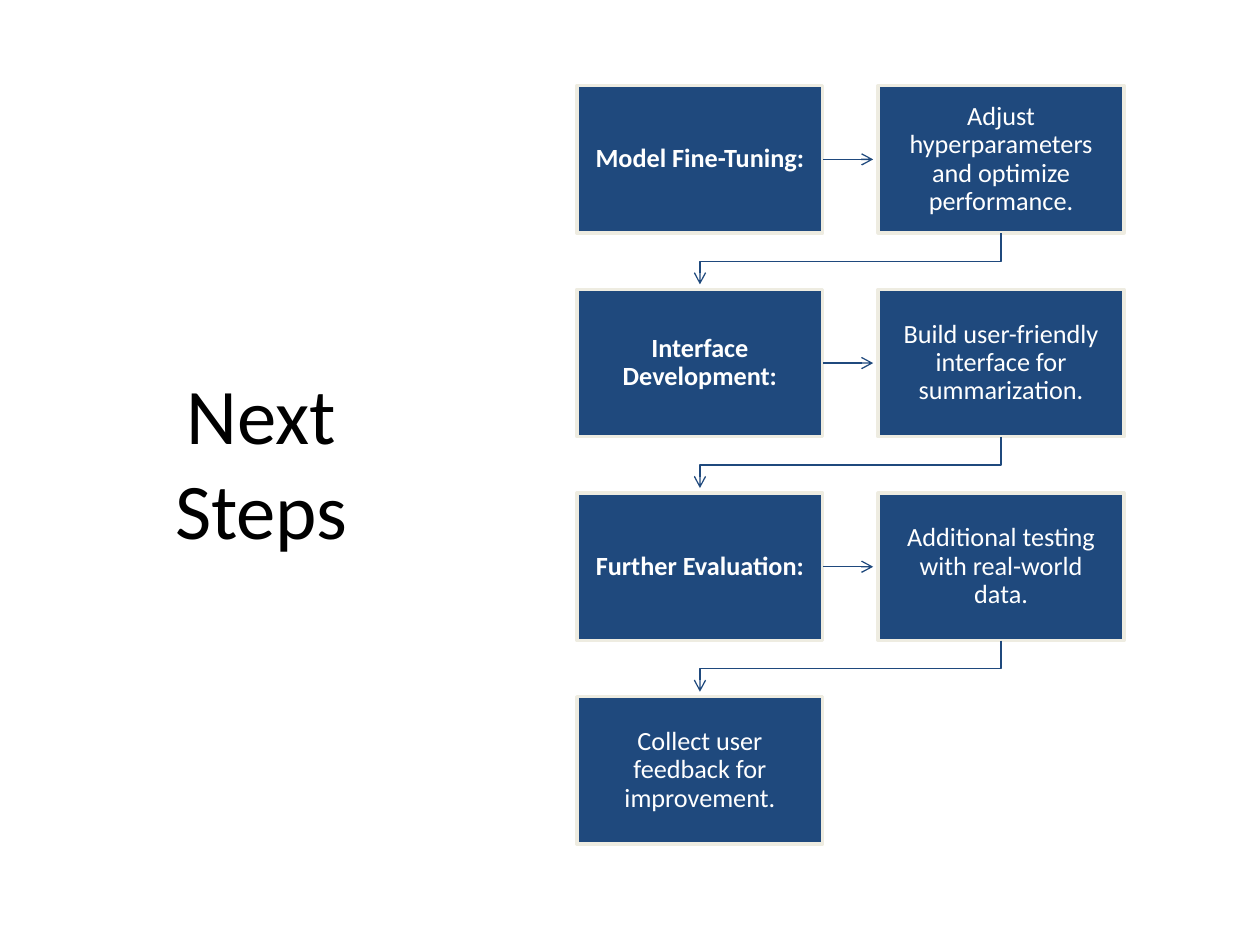
from lxml.etree import SubElement
from pptx import Presentation
from pptx.dml.color import RGBColor
from pptx.enum.shapes import MSO_CONNECTOR, MSO_SHAPE
from pptx.enum.text import MSO_ANCHOR, PP_ALIGN
from pptx.oxml.ns import qn
from pptx.util import Inches, Pt

NAVY = RGBColor(0x1F, 0x49, 0x7D)
CREAM = RGBColor(0xEE, 0xEC, 0xE1)
WHITE = RGBColor(0xFF, 0xFF, 0xFF)
BLACK = RGBColor(0x00, 0x00, 0x00)

STEPS = [
    ("Model Fine-Tuning:", "Adjust hyperparameters and optimize performance."),
    ("Interface Development:", "Build user-friendly interface for summarization."),
    ("Further Evaluation:", "Additional testing with real-world data."),
    ("Collect user feedback for improvement.",),
]


class FlowSlide:
    """Draws a title and a two-column grid of steps joined by arrows."""

    font = "Calibri"
    left, top = Inches(4.58), Inches(0.68)
    width, height = Inches(1.95), Inches(1.17)
    column_step, row_step = Inches(2.39), Inches(4.85 / 3)
    arrow_gap = Inches(0.04)

    def __init__(self, deck):
        self.page = deck.slides.add_slide(deck.slide_layouts[5])

    def label(self, box, text, size, color, bold=False, spacing=1.0, inset=0.1):
        frame = box.text_frame
        margins = {f"margin_{side}": Inches(inset) for side in ("left", "right", "top", "bottom")}
        layout = {"word_wrap": True, "vertical_anchor": MSO_ANCHOR.MIDDLE, **margins}
        for name, value in layout.items():
            setattr(frame, name, value)
        para = frame.paragraphs[0]
        para.alignment, para.line_spacing = PP_ALIGN.CENTER, spacing
        span = para.add_run()
        span.text = text
        span.font.color.rgb = color
        for name, value in {"name": self.font, "size": Pt(size), "bold": bold}.items():
            setattr(span.font, name, value)

    def title(self, text):
        box = self.page.shapes.title
        place = {"left": 0.69, "top": 0.61, "width": 2.77, "height": 6.09}
        for name, value in place.items():
            setattr(box, name, Inches(value))
        self.label(box, text, 45, BLACK)

    def step(self, column, row, text, bold):
        box = self.page.shapes.add_shape(
            MSO_SHAPE.RECTANGLE,
            self.left + column * self.column_step,
            self.top + row * self.row_step,
            self.width,
            self.height,
        )
        box.shadow.inherit = False
        box.fill.solid()
        box.fill.fore_color.rgb = NAVY
        box.line.color.rgb = CREAM
        box.line.width = Pt(2)
        self.label(box, text, 15, WHITE, bold, spacing=0.9)
        return box

    def arrow_style(self, shape):
        shape.line.color.rgb = NAVY
        shape.line.width = Pt(0.75)
        outline = shape.element.spPr.find(qn("a:ln"))
        SubElement(outline, qn("a:tailEnd"), type="arrow")

    def across(self, source, target):
        middle = source.top + source.height // 2
        arrow = self.page.shapes.add_connector(
            MSO_CONNECTOR.STRAIGHT,
            source.left + source.width, middle,
            target.left - self.arrow_gap, middle,
        )
        arrow.begin_connect(source, 3)
        self.arrow_style(arrow)
        SubElement(arrow.element.spPr, qn("a:effectLst"))

    def wrap(self, source, target):
        start_x = source.left + source.width // 2
        start_y = source.top + source.height
        end_x = target.left + target.width // 2
        turn_y = (start_y + target.top) // 2
        outline = self.page.shapes.build_freeform(start_x, start_y)
        outline.add_line_segments(
            [(start_x, turn_y), (end_x, turn_y), (end_x, target.top - self.arrow_gap)],
            close=False,
        )
        arrow = outline.convert_to_shape()
        arrow.fill.background()
        arrow.shadow.inherit = False
        self.arrow_style(arrow)


def main():
    deck = Presentation()
    deck.slide_width, deck.slide_height = Inches(10), Inches(7.5)
    flow = FlowSlide(deck)
    flow.title("Next Steps")
    rows = [
        [
            flow.step(column, row, text, bold=column == 0 and len(texts) == 2)
            for column, text in enumerate(texts)
        ]
        for row, texts in enumerate(STEPS)
    ]
    for (heading, detail), following in zip(rows[:-1], rows[1:]):
        flow.across(heading, detail)
        flow.wrap(detail, following[0])
    deck.save("out.pptx")


if __name__ == "__main__":
    main()
